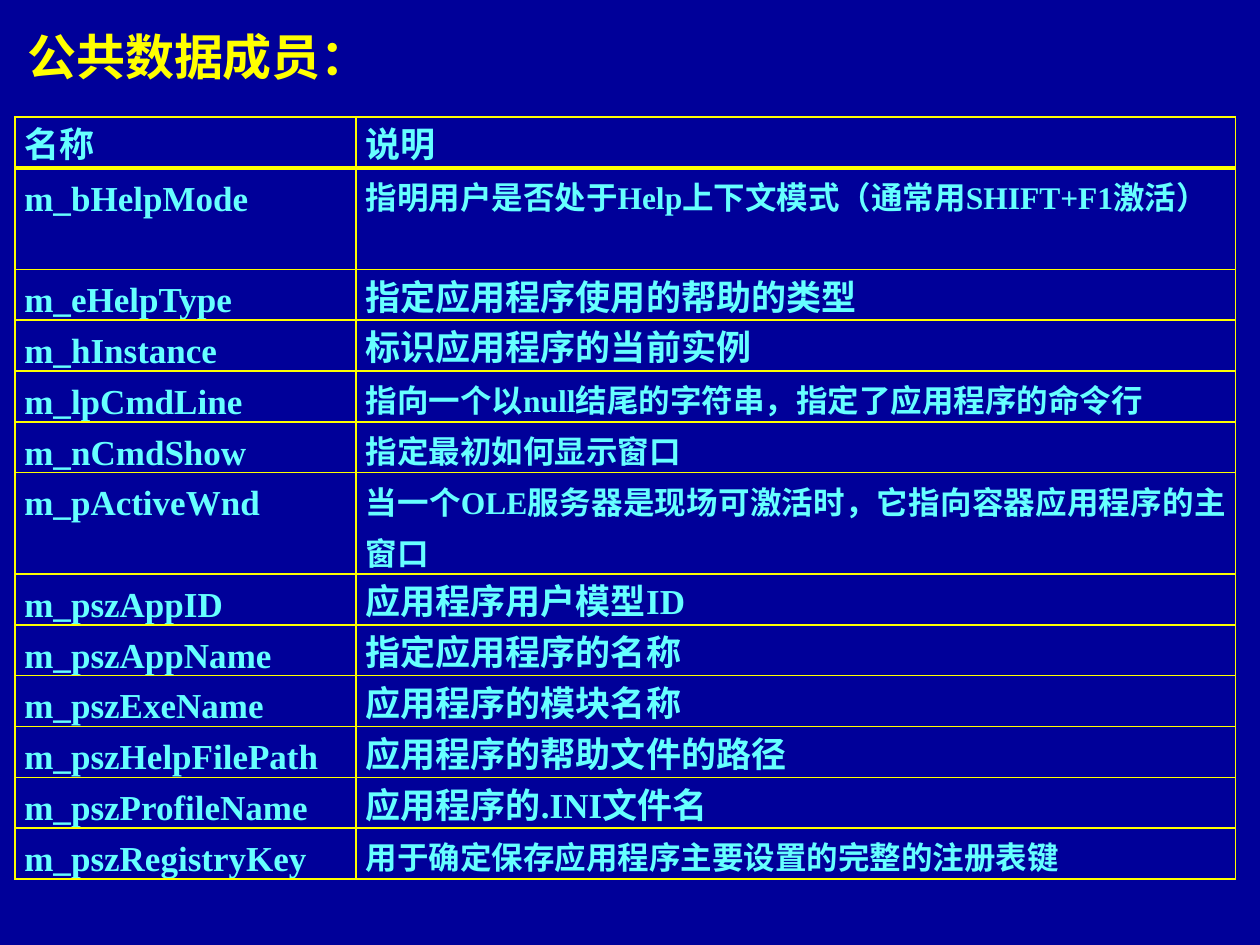
from lxml.etree import SubElement
from pptx import Presentation
from pptx.dml.color import RGBColor
from pptx.enum.text import MSO_ANCHOR, PP_ALIGN
from pptx.oxml.ns import qn
from pptx.util import Cm, Pt

FONT = "Times New Roman"
NAVY, YELLOW, CYAN = "000099", "FFFF00", "66FFFF"
WIDTHS = (6.88, 17.73)
ROWS = (
    ("名称", "说明", 20),
    ("m_bHelpMode", "指明用户是否处于Help上下文模式（通常用SHIFT+F1激活）", 18),
    ("m_eHelpType", "指定应用程序使用的帮助的类型", 20),
    ("m_hInstance", "标识应用程序的当前实例", 20),
    ("m_lpCmdLine", "指向一个以null结尾的字符串，指定了应用程序的命令行", 18),
    ("m_nCmdShow", "指定最初如何显示窗口", 18),
    ("m_pActiveWnd", "当一个OLE服务器是现场可激活时，它指向容器应用程序的主窗口", 18),
    ("m_pszAppID", "应用程序用户模型ID", 20),
    ("m_pszAppName", "指定应用程序的名称", 20),
    ("m_pszExeName", "应用程序的模块名称", 20),
    ("m_pszHelpFilePath", "应用程序的帮助文件的路径", 20),
    ("m_pszProfileName", "应用程序的.INI文件名", 20),
    ("m_pszRegistryKey", "用于确定保存应用程序主要设置的完整的注册表键", 18),
)


def color(code):
    return RGBColor.from_string(code)


def add_run(para, text, size, code):
    run = para.add_run()
    run.text = text
    font = run.font
    font.name, font.size, font.bold = FONT, Pt(size), True
    font.color.rgb = color(code)


def add_title(slide, text):
    box = slide.shapes.add_textbox(Cm(0.3), Cm(0.33), Cm(7.6), Cm(1.6))
    frame = box.text_frame
    frame.word_wrap = False
    frame.vertical_anchor = MSO_ANCHOR.MIDDLE
    add_run(frame.paragraphs[0], text, 28, YELLOW)


def add_edge(cell, side, width):
    props = cell._tc.get_or_add_tcPr()
    line = SubElement(props, qn(f"a:ln{side}"), w=str(Pt(width)))
    fill = SubElement(line, qn("a:solidFill"))
    SubElement(fill, qn("a:srgbClr"), val=YELLOW)


def fill_cell(cell, text, size, top, base):
    cell.margin_left = cell.margin_right = Cm(0.19)
    cell.margin_top = cell.margin_bottom = 0
    for side, width in zip("LRTB", (1, 1, top, base)):
        add_edge(cell, side, width)
    cell.fill.background()
    para = cell.text_frame.paragraphs[0]
    para.alignment = PP_ALIGN.JUSTIFY
    para.line_spacing = Pt(29)
    add_run(para, text, size, CYAN)


def add_grid(slide):
    high = Pt(29)
    frame = slide.shapes.add_table(
        len(ROWS), 2, Cm(0.3), Cm(2.36), Cm(sum(WIDTHS)), high * len(ROWS))
    table = frame.table
    table.first_row = table.horz_banding = False
    for col, width in zip(table.columns, WIDTHS):
        col.width = Cm(width)
    for i, (name, note, size) in enumerate(ROWS):
        lines = 2 if name in ("m_bHelpMode", "m_pActiveWnd") else 1
        table.rows[i].height = high * lines
        top = 3 if i == 1 else 1
        base = 3 if i == 0 else 1
        fill_cell(table.cell(i, 0), name, 20, top, base)
        fill_cell(table.cell(i, 1), note, size, top, base)


def main():
    deck = Presentation()
    deck.slide_width, deck.slide_height = Cm(25.4), Cm(19.05)
    slide = deck.slides.add_slide(deck.slide_layouts[6])
    back = slide.background.fill
    back.solid()
    back.fore_color.rgb = color(NAVY)
    add_title(slide, "公共数据成员：")
    add_grid(slide)
    deck.save("out.pptx")


if __name__ == "__main__":
    main()
